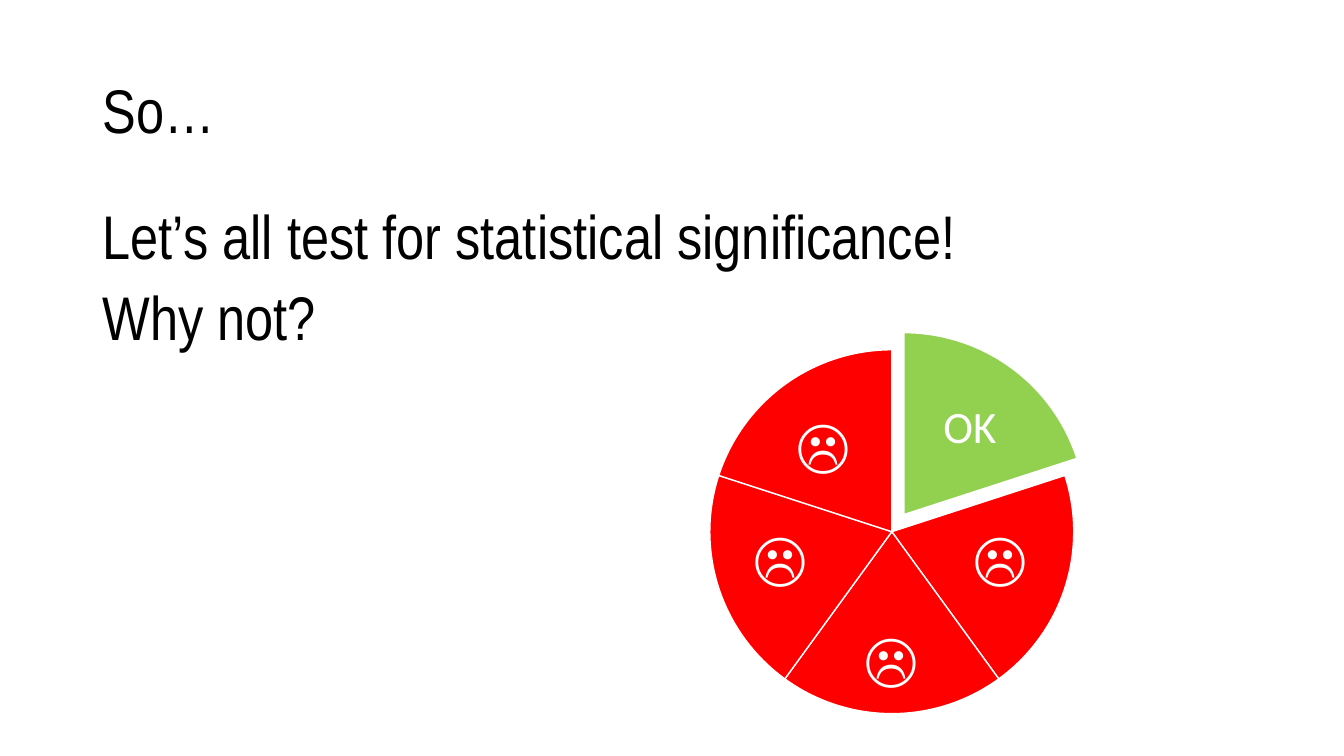
import pptx
import pptx.util
import pptx.dml.color
import pptx.enum.shapes
import pptx.enum.text
from dataclasses import dataclass

PX = 9144  # EMU per px, 100 px to the inch


@dataclass(frozen=True)
class Theme:
    text: str = "000000"
    light: str = "FFFFFF"
    good: str = "92D050"
    bad: str = "FF0000"
    text_font: str = "Arial Narrow"
    label_font: str = "Calibri"
    text_size: int = 44
    ok_size: int = 32
    face_size: int = 42


theme = Theme()


def rgb(value):
    return pptx.dml.color.RGBColor.from_string(value)


def add_text(shapes, box, lines, font, size, color, middle=True,
             center=False, before=0, inset=None):
    """Add a wrapped text box, one paragraph per line; box and inset in px."""
    tf = shapes.add_textbox(*(v * PX for v in box)).text_frame
    tf.word_wrap = True
    if middle:
        tf.vertical_anchor = pptx.enum.text.MSO_ANCHOR.MIDDLE
    if inset is not None:
        tf.margin_left = tf.margin_right = inset * PX
        tf.margin_top = tf.margin_bottom = inset * PX
    tf.text = "\n".join(lines)
    for p in tf.paragraphs:
        p.line_spacing = 0.9
        p.space_before = pptx.util.Pt(before)
        if center:
            p.alignment = pptx.enum.text.PP_ALIGN.CENTER
        p.font.name = font
        p.font.size = pptx.util.Pt(size)
        p.font.color.rgb = rgb(color)


prs = pptx.Presentation()
prs.slide_width = 1333 * PX
prs.slide_height = 750 * PX
s = prs.slides.add_slide(prs.slide_layouts[6])

# Title and body
add_text(s.shapes, (92, 40, 1150, 145), ["So…"],
         theme.text_font, theme.text_size, theme.text)
add_text(s.shapes, (92, 200, 1150, 476),
         ["Let’s all test for statistical significance!", "Why not?"],
         theme.text_font, theme.text_size, theme.text, middle=False, before=10)

# Pie of five equal slices, clockwise from the top; the first is pulled out
DIAMETER = 361
PIE_AT = (704, 347)
PULLED_AT = (716, 330)
ADJ_PER_DEGREE = 0.6
label_boxes = [
    (901, 384, 122, 84),
    (939, 510, 107, 91),
    (820, 618, 129, 77),
    (721, 510, 107, 91),
    (756, 402, 122, 84),
]
sweep = 360 // len(label_boxes)
pie = s.shapes.add_group_shape()

for i, label_box in enumerate(label_boxes):
    is_ok = i == 0
    left, top = PULLED_AT if is_ok else PIE_AT
    sp = pie.shapes.add_shape(pptx.enum.shapes.MSO_SHAPE.PIE, left * PX,
                              top * PX, DIAMETER * PX, DIAMETER * PX)
    start = 270 + i * sweep
    sp.adjustments[0] = start % 360 * ADJ_PER_DEGREE
    sp.adjustments[1] = (start + sweep) % 360 * ADJ_PER_DEGREE
    sp.shadow.inherit = False
    sp.fill.solid()
    sp.fill.fore_color.rgb = rgb(theme.good if is_ok else theme.bad)
    sp.line.color.rgb = rgb(theme.light)
    sp.line.width = pptx.util.Pt(1)
    add_text(pie.shapes, label_box, ["OK" if is_ok else "☹"],
             theme.label_font, theme.ok_size if is_ok else theme.face_size,
             theme.light, center=True, inset=4 if is_ok else 6)

prs.save("out.pptx")
